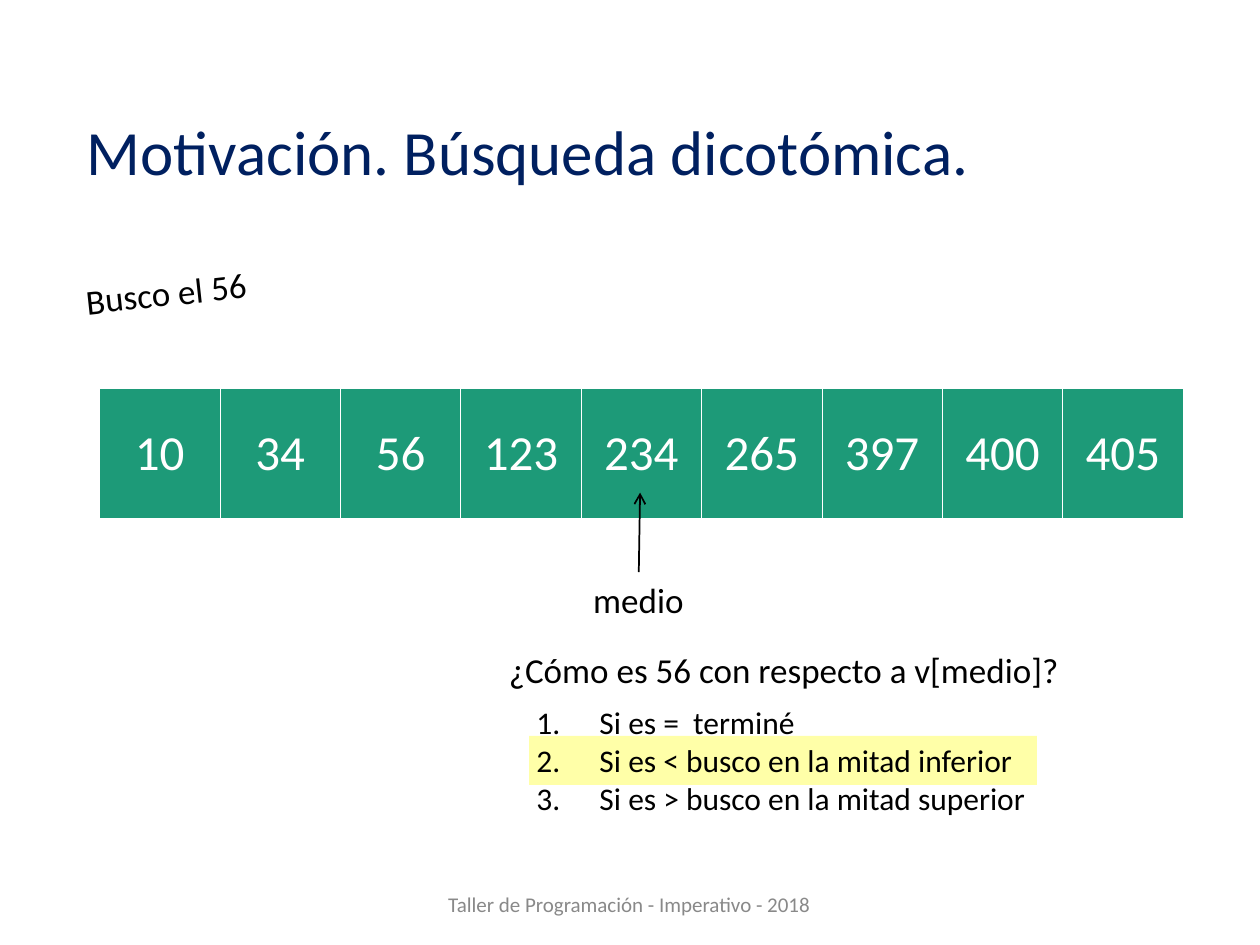
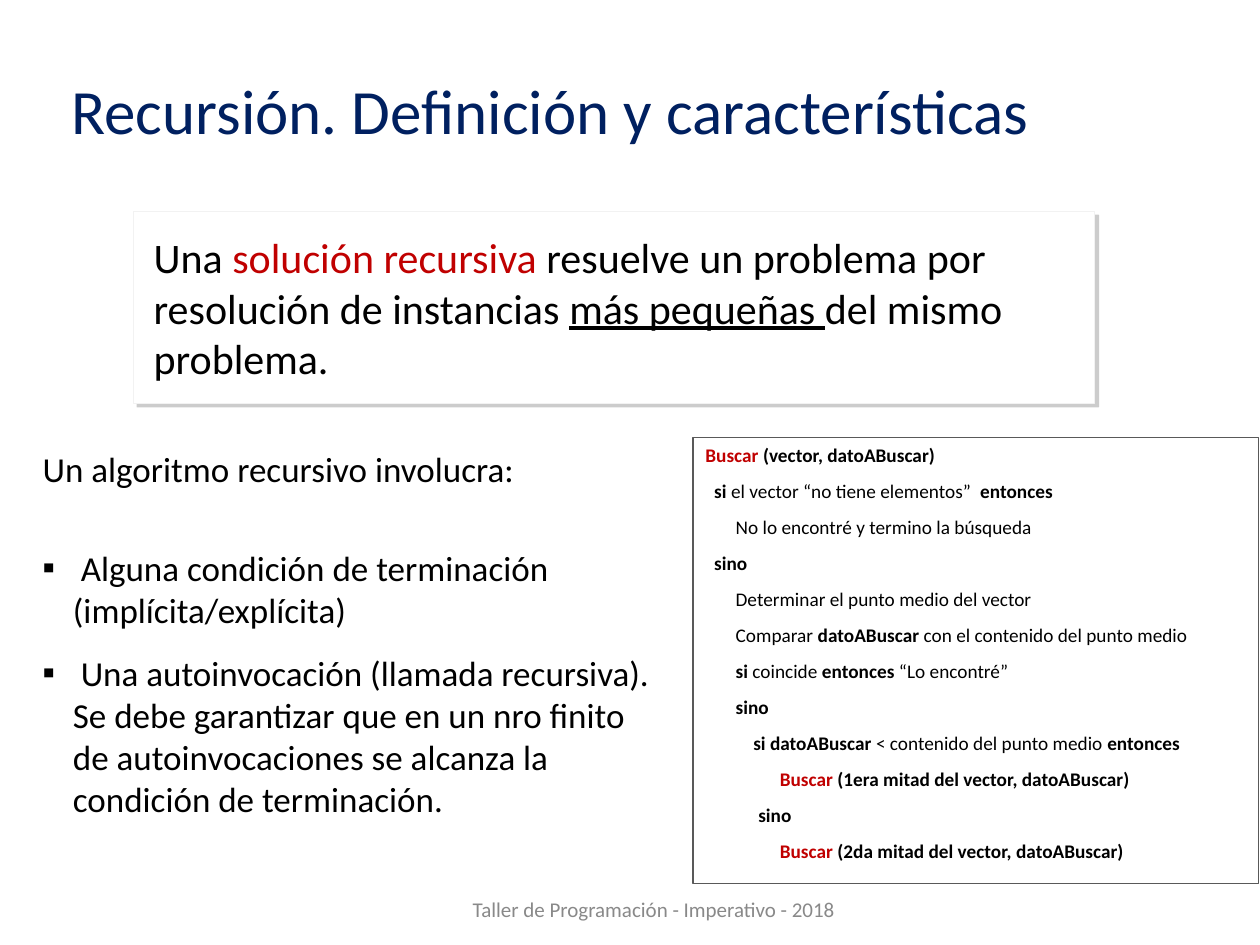
"""Build two slides on binary search and recursion."""
import lxml.etree
import pptx
import pptx.dml.color
import pptx.enum.shapes
import pptx.enum.text
import pptx.oxml
import pptx.oxml.ns
import pptx.util

Inches = pptx.util.Inches
Pt = pptx.util.Pt
ALIGN = pptx.enum.text.PP_ALIGN
ANCHOR = pptx.enum.text.MSO_ANCHOR
RECTANGLE = pptx.enum.shapes.MSO_SHAPE.RECTANGLE
FONT = "Calibri"
FOOTER = "Taller de Programación - Imperativo - 2018"
COLORS = {
    "title": "002060", "text": "000000", "accent": "C00000", "footer": "898989",
    "white": "FFFFFF", "cell": "1D9A78", "highlight": "FFFF00",
    "soft_line": "F2F2F2", "code_line": "595959", "shadow": "808080",
}
VALUES = [10, 34, 56, 123, 234, 265, 397, 400, 405]
OPTIONS = [
    "Si es =  terminé",
    "Si es < busco en la mitad inferior",
    "Si es > busco en la mitad superior",
]
FEATURES = [
    " Alguna condición de terminación (implícita/explícita)",
    " Una autoinvocación (llamada recursiva). Se debe garantizar que en un nro "
    "finito de autoinvocaciones se alcanza la condición de terminación.",
]
CODE = [
    (0, [("Buscar ", "accent bold"), ("(vector, datoABuscar)", "bold")]),
    (0.07, [("si", "bold"), (" el vector “no tiene elementos”  ", ""), ("entonces", "bold")]),
    (0.24, [("No lo encontré y termino la búsqueda", "")]),
    (0.07, [("sino", "bold")]),
    (0.24, [("Determinar el punto medio del vector", "")]),
    (0.24, [("Comparar ", ""), ("datoABuscar", "bold"),
            (" con el contenido del punto medio", "")]),
    (0.24, [("si", "bold"), (" coincide ", ""), ("entonces", "bold"), (" “Lo encontré”", "")]),
    (0.24, [("sino", "bold")]),
    (0.38, [("si datoABuscar", "bold"), (" < contenido del punto medio ", ""),
            ("entonces", "bold")]),
    (0.59, [("Buscar ", "accent bold"), ("(1era mitad del vector, datoABuscar)", "bold")]),
    (0.42, [("sino", "bold")]),
    (0.59, [("Buscar ", "accent bold"), ("(2da mitad del vector, datoABuscar)", "bold")]),
]


def rgb(name):
    """Return the named colour."""
    return pptx.dml.color.RGBColor.from_string(COLORS[name])


def add_child(parent, tag, **attributes):
    """Append an XML element to parent."""
    return lxml.etree.SubElement(parent, pptx.oxml.ns.qn(tag), attributes)


def add_text_box(page, left, top, width, height, wrap=True, anchor=ANCHOR.TOP):
    """Add an empty text box."""
    box = page.shapes.add_textbox(Inches(left), Inches(top), Inches(width), Inches(height))
    box.text_frame.word_wrap = wrap
    box.text_frame.vertical_anchor = anchor
    return box


def add_panel(page, left, top, width, height, fill="white", line=None, inset=(0.1, 0.05)):
    """Add a filled rectangle ready for left-aligned text."""
    panel = page.shapes.add_shape(
        RECTANGLE, Inches(left), Inches(top), Inches(width), Inches(height))
    panel.shadow.inherit = False
    panel.fill.solid()
    panel.fill.fore_color.rgb = rgb(fill)
    if line:
        panel.line.color.rgb = rgb(line)
        panel.line.width = Pt(0.75)
    else:
        panel.line.fill.background()
    frame = panel.text_frame
    frame.word_wrap = True
    frame.vertical_anchor = ANCHOR.TOP
    frame.margin_left = frame.margin_right = Inches(inset[0])
    frame.margin_top = frame.margin_bottom = Inches(inset[1])
    return panel


def write(frame, spans, size, color="text", align=ALIGN.LEFT, before=0, after=0, spacing=None):
    """Write one paragraph of (text, style) spans and return it."""
    para = frame.paragraphs[0]
    if para.runs:
        para = frame.add_paragraph()
    para.alignment = align
    para.space_before = Pt(before)
    para.space_after = Pt(after)
    if spacing:
        para.line_spacing = spacing
    for text, style in spans:
        span = para.add_run()
        span.text = text
        span.font.name = FONT
        span.font.size = Pt(size)
        span.font.bold = "bold" in style
        span.font.underline = "underline" in style
        span.font.color.rgb = rgb("accent" if "accent" in style else color)
    return para


def set_indent(para, left, hanging=0):
    """Set the left margin and hanging indent of a paragraph."""
    properties = para._p.get_or_add_pPr()
    properties.set("marL", str(Inches(left)))
    properties.set("indent", str(-Inches(hanging)))
    return properties


def add_title(box):
    """Return a writer for the shared title style in box."""
    return lambda text: write(box.text_frame, [(text, "")], 36, "title",
                              before=13.5, after=6, spacing=1.35)


def add_footer(page, left, top, width):
    """Add the shared footer."""
    box = add_text_box(page, left, top, width, 0.4, anchor=ANCHOR.MIDDLE)
    write(box.text_frame, [(FOOTER, "")], 12, "footer", ALIGN.CENTER, before=3, spacing=1.35)


def add_label(page, text, left, top, width, wrap=False):
    """Add a one-line label."""
    box = add_text_box(page, left, top, width, 0.44, wrap)
    write(box.text_frame, [(text, "")], 20)
    return box


def add_vector(page, left, top, width, height):
    """Add the vector as a one-row table."""
    frame = page.shapes.add_table(
        1, len(VALUES), Inches(left), Inches(top), Inches(width), Inches(height))
    table = frame.table
    table.first_row = table.horz_banding = False
    for index, value in enumerate(VALUES):
        table.columns[index].width = Inches(width / len(VALUES))
        cell = table.cell(0, index)
        cell.vertical_anchor = ANCHOR.MIDDLE
        write(cell.text_frame, [(str(value), "")], 28, "white", ALIGN.CENTER)
        properties = cell._tc.get_or_add_tcPr()
        for side, weight in (("L", 0.45), ("R", 0.45), ("T", 0.45), ("B", 1.47)):
            border = add_child(properties, "a:ln" + side, w=str(Pt(weight)))
            add_child(add_child(border, "a:solidFill"), "a:srgbClr", val=COLORS["white"])
        cell.fill.solid()
        cell.fill.fore_color.rgb = rgb("cell")


def add_arrow(page, start, end):
    """Add a thin arrow from start to end."""
    arrow = page.shapes.add_connector(
        pptx.enum.shapes.MSO_CONNECTOR.STRAIGHT, *map(Inches, start + end))
    arrow.line.color.rgb = rgb("text")
    arrow.line.width = Pt(1)
    add_child(arrow.line._get_or_add_ln(), "a:tailEnd", type="arrow")
    add_child(arrow._element.spPr, "a:effectLst")


def add_options(page, left, top, width, height):
    """Add the numbered options."""
    box = add_text_box(page, left, top, width, height)
    for option in OPTIONS:
        properties = set_indent(write(box.text_frame, [(option, "")], 18), 0.5, 0.5)
        add_child(properties, "a:buFont", typeface=FONT)
        add_child(properties, "a:buAutoNum", type="arabicPeriod")


def add_definition(page):
    """Add the definition card with its shadow."""
    card = add_panel(page, 1.06, 1.68, 7.63, 1.52, line="soft_line", inset=(0.16, 0.16))
    write(card.text_frame, [
        ("Una ", ""), ("solución recursiva ", "accent"),
        ("resuelve un problema por resolución de instancias ", ""),
        ("más pequeñas ", "underline"), ("del mismo problema.", ""),
    ], 24)
    effects = card._element.spPr.find(pptx.oxml.ns.qn("a:effectLst"))
    shadow = add_child(effects, "a:outerShdw", blurRad="0", dist=str(Pt(3)),
                       dir="2700000", algn="tl", rotWithShape="0")
    add_child(add_child(shadow, "a:srgbClr", val=COLORS["shadow"]), "a:alpha", val="40000")


def add_features(page):
    """Add the bulleted features of a recursive algorithm."""
    frame = add_panel(page, 0.24, 3.5, 5.16, 3.07).text_frame
    write(frame, [("Un algoritmo recursivo involucra:", "")], 20, before=12)
    for feature, before in zip(FEATURES, (33, 12)):
        para = write(frame, [(feature, "")], 20, before=before)
        properties = set_indent(para, 0.24, 0.24)
        add_child(properties, "a:buFont", typeface=FONT)
        add_child(properties, "a:buChar", char="▪")


def add_code(page):
    """Add the pseudocode panel."""
    panel = add_panel(page, 5.5, 3.47, 4.49, 3.54, line="code_line", inset=(0.1, 0.08))
    for indent, spans in CODE:
        set_indent(write(panel.text_frame, spans, 11, before=10, spacing=0.8), indent)


def build_search(page):
    """Build the binary search slide."""
    highlight = add_panel(page, 4.2, 5.84, 4.03, 0.39, fill="highlight")
    color = highlight.fill._xPr.find(".//" + pptx.oxml.ns.qn("a:srgbClr"))
    add_child(color, "a:alpha", val="34000")
    title = add_text_box(page, 0.59, 0.36, 8.63, 1.45, anchor=ANCHOR.MIDDLE)
    add_title(title)("Motivación. Búsqueda dicotómica.")
    add_footer(page, 2.36, 6.94, 5.27)
    add_vector(page, 0.79, 3.08, 8.6, 1.04)
    add_label(page, "Busco el 56", 0.58, 2.1, 1.54).rotation = 353.7
    add_label(page, "medio", 4.61, 4.54, 0.92)
    add_arrow(page, (5.07, 4.54), (5.08, 3.91))
    add_label(page, "¿Cómo es 56 con respecto a v[medio]?", 3.94, 5.1, 4.87, wrap=True)
    add_options(page, 4.16, 5.53, 4.37, 1)


def build_recursion(page):
    """Build the recursion slide."""
    title = add_panel(page, 0.47, 0.31, 9.1, 0.84)
    add_title(title)("Recursión. Definición y características")
    add_definition(page)
    add_footer(page, 2.91, 6.98, 4.56)
    add_features(page)
    add_code(page)


def main():
    """Build and save the deck."""
    deck = pptx.Presentation()
    deck.slide_width = Inches(10)
    deck.slide_height = Inches(7.5)
    for build in (build_search, build_recursion):
        build(deck.slides.add_slide(deck.slide_layouts[6]))
    deck.save("out.pptx")


if __name__ == "__main__":
    main()
